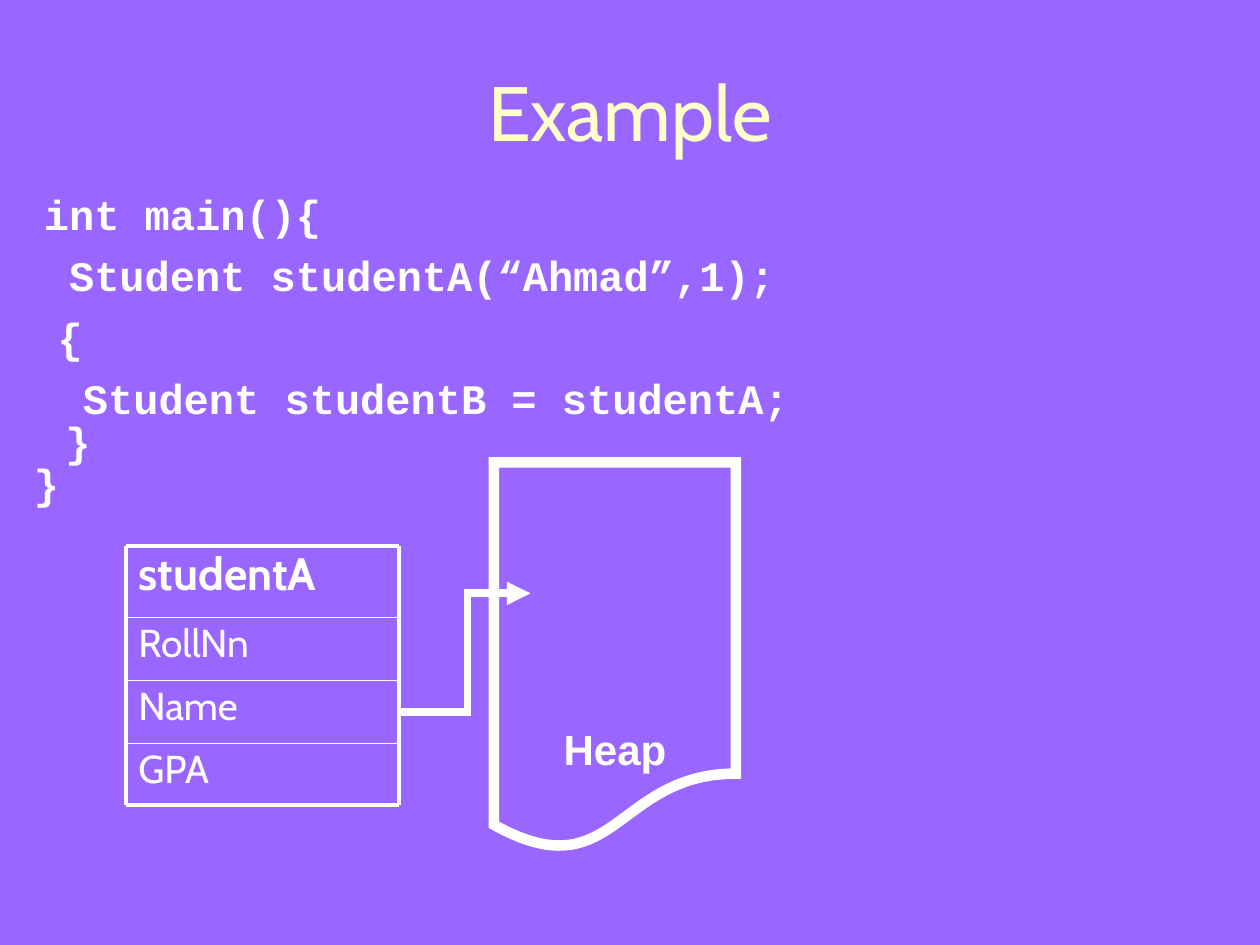
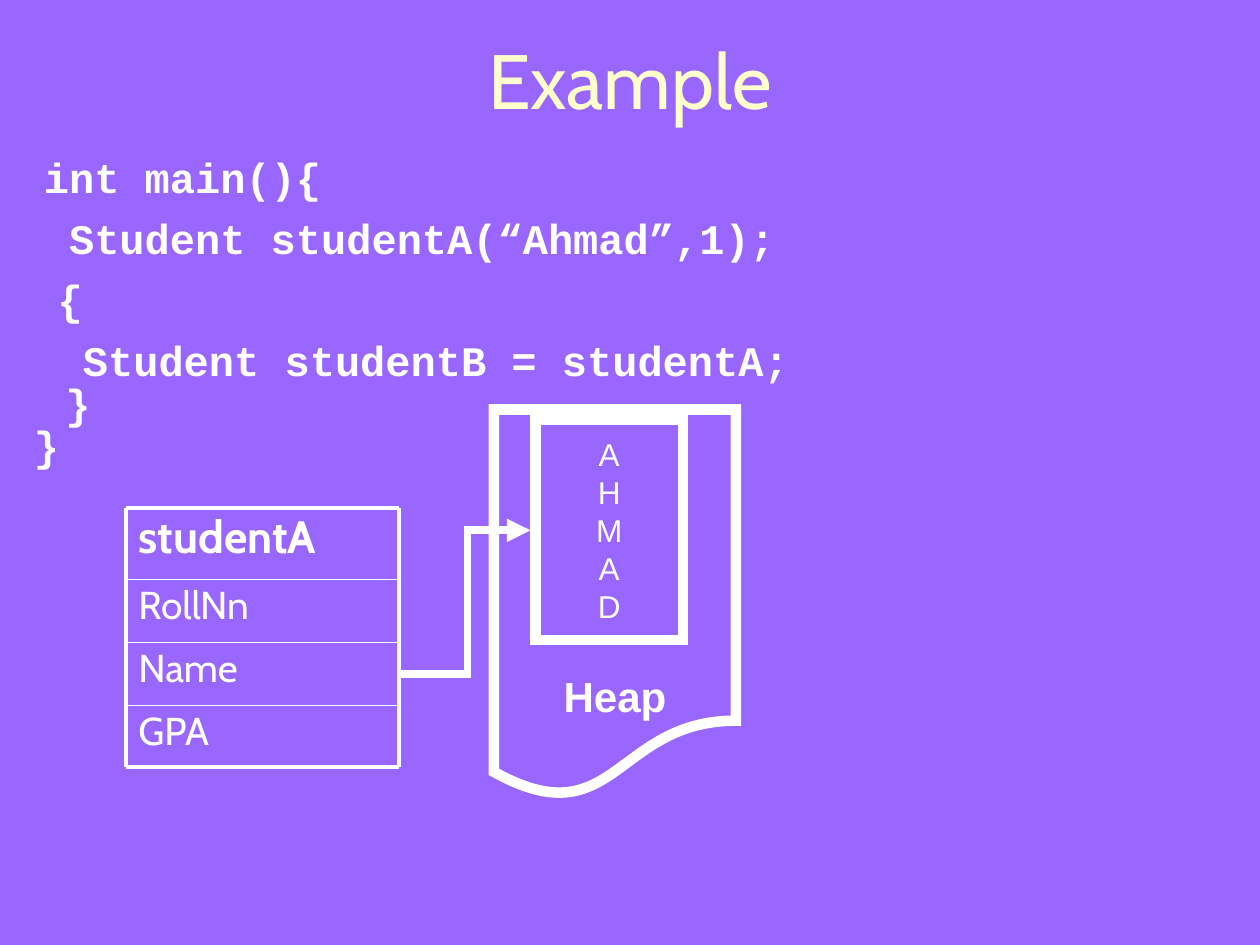
import itertools
from dataclasses import dataclass
from typing import Sequence

import lxml.etree
import pptx
import pptx.dml.color
import pptx.enum.shapes
import pptx.enum.text
import pptx.oxml.ns
import pptx.util

Inches = pptx.util.Inches
Pt = pptx.util.Pt
Align = pptx.enum.text.PP_ALIGN
Anchor = pptx.enum.text.MSO_ANCHOR
ShapeKind = pptx.enum.shapes.MSO_SHAPE
ConnectorKind = pptx.enum.shapes.MSO_CONNECTOR
qn = pptx.oxml.ns.qn

PURPLE = "9966FF"
CREAM = "FFFFCC"
WHITE = "FFFFFF"
OUTER_LINE = 2.25
INNER_LINE = 1


@dataclass(frozen=True)
class TextStyle:
    font: str
    size: float
    color: str = WHITE
    bold: bool = False
    align: Align = Align.LEFT
    space_before: float = 0
    line_spacing: float = 1.0


@dataclass(frozen=True)
class Box:
    left: float
    top: float
    width: float
    height: float


@dataclass(frozen=True)
class CodeBlock:
    """Lines of code in a box placed relative to the top of the code."""
    box: Box
    lines: Sequence[str]


@dataclass(frozen=True)
class Field:
    name: str
    height: float
    style: TextStyle


@dataclass(frozen=True)
class ExampleSlide:
    title_box: Box
    code_top: float
    heap_top: float
    arrow_tip: float
    heap_text: str = ""


TITLE = TextStyle("Cabin", 44, CREAM, align=Align.CENTER)
CODE = TextStyle("Courier New", 24, bold=True, space_before=6)
OBJECT_NAME = TextStyle("Cabin", 25.9, bold=True, line_spacing=0.9)
FIELD_NAME = TextStyle("Cabin", 22.2, line_spacing=0.9)
HEAP_LABEL = TextStyle("Arial", 24, bold=True, align=Align.CENTER)
HEAP_LETTER = TextStyle("Arial", 18, align=Align.CENTER)

CODE_BLOCKS = (
    CodeBlock(Box(0.25, 0, 6, 0.99), ("int main(){", " Student studentA(“Ahmad”,1);")),
    CodeBlock(Box(0.16, 0.97, 6.4, 0.99), (" {", "  Student studentB = studentA;")),
    CodeBlock(Box(0.42, 1.8, 0.4, 0.5), ("}",)),
    CodeBlock(Box(0.17, 2.13, 0.4, 0.5), ("}",)),
)
STUDENT_FIELDS = (
    Field("studentA", 0.57, OBJECT_NAME),
    Field("RollNn", 0.5, FIELD_NAME),
    Field("Name", 0.5, FIELD_NAME),
    Field("GPA", 0.49, FIELD_NAME),
)
STUDENT_LEFT, STUDENT_RIGHT = 1, 3.17
STUDENT_BELOW_CODE = 2.88
NAME_BELOW_CODE = 4.2
ARROW_TIP_LEFT = 4.21

SLIDES = (
    ExampleSlide(Box(0.33, 0.25, 9.34, 1.25), 1.45, 3.67, 4.71),
    ExampleSlide(Box(0.5, 0, 9, 1.25), 1.15, 3.25, 4.21, "AHMAD"),
)


def rgb(color: str) -> pptx.dml.color.RGBColor:
    return pptx.dml.color.RGBColor.from_string(color)


def lengths(box: Box) -> list:
    return [Inches(value) for value in (box.left, box.top, box.width, box.height)]


def write_lines(text_frame, lines: Sequence[str], style: TextStyle) -> None:
    for index, line in enumerate(lines):
        paragraph = text_frame.add_paragraph() if index else text_frame.paragraphs[0]
        paragraph.alignment = style.align
        paragraph.line_spacing = style.line_spacing
        if index:
            paragraph.space_before = Pt(style.space_before)
        run = paragraph.add_run()
        run.text = line
        run.font.name = style.font
        run.font.size = Pt(style.size)
        run.font.bold = style.bold
        run.font.color.rgb = rgb(style.color)


def add_text(slide, box: Box, lines: Sequence[str], style: TextStyle,
             anchor: Anchor = Anchor.TOP, wrap: bool = True):
    text_frame = slide.shapes.add_textbox(*lengths(box)).text_frame
    text_frame.word_wrap = wrap
    text_frame.vertical_anchor = anchor
    write_lines(text_frame, lines, style)
    return text_frame


def add_code(slide, block: CodeBlock, code_top: float) -> None:
    box = Box(block.box.left, code_top + block.box.top, block.box.width, block.box.height)
    add_text(slide, box, block.lines, CODE, wrap=False)


def set_line(shape, width: float) -> lxml.etree._Element:
    """Give the shape a white line with mitred corners and return its element."""
    shape.line.color.rgb = rgb(WHITE)
    shape.line.width = Pt(width)
    line = shape.line._get_or_add_ln()
    lxml.etree.SubElement(line, qn("a:miter"), lim="800000")
    return line


def add_outlined_shape(slide, kind: ShapeKind, box: Box, lines: Sequence[str],
                       style: TextStyle, anchor: Anchor):
    shape = slide.shapes.add_shape(kind, *lengths(box))
    shape.shadow.inherit = False
    shape.fill.background()
    set_line(shape, 6)
    shape.text_frame.word_wrap = False
    shape.text_frame.vertical_anchor = anchor
    write_lines(shape.text_frame, lines, style)
    return shape


def add_connector(slide, kind: ConnectorKind, start: tuple[float, float],
                  end: tuple[float, float], width: float):
    ends = [Inches(value) for value in (*start, *end)]
    connector = slide.shapes.add_connector(kind, *ends)
    set_line(connector, width)
    lxml.etree.SubElement(connector._element.spPr, qn("a:effectLst"))
    return connector


def add_student_object(slide, top: float) -> None:
    heights = [field.height for field in STUDENT_FIELDS]
    edges = list(itertools.accumulate(heights, initial=top))
    bottom = edges[-1]
    for field, field_top in zip(STUDENT_FIELDS, edges):
        box = Box(STUDENT_LEFT, field_top, STUDENT_RIGHT - STUDENT_LEFT, field.height)
        add_text(slide, box, [field.name], field.style)
    for edge in edges:
        add_connector(slide, ConnectorKind.STRAIGHT, (STUDENT_LEFT, edge),
                      (STUDENT_RIGHT, edge),
                      OUTER_LINE if edge in (top, bottom) else INNER_LINE)
    for side in (STUDENT_LEFT, STUDENT_RIGHT):
        add_connector(slide, ConnectorKind.STRAIGHT, (side, top), (side, bottom), OUTER_LINE)


def add_heap_arrow(slide, start: float, tip: float) -> None:
    """Lead from the Name field, at height start, into the heap, at height tip."""
    connector = add_connector(slide, ConnectorKind.ELBOW, (STUDENT_RIGHT, start),
                              (ARROW_TIP_LEFT, tip), 4.5)
    line = connector.line._get_or_add_ln()
    lxml.etree.SubElement(line, qn("a:tailEnd"), type="triangle")
    geometry = connector._element.spPr.find(qn("a:prstGeom"))
    lxml.etree.SubElement(geometry.get_or_add_avLst(), qn("a:gd"),
                          name="adj1", fmla="val 52000")


def build_slide(presentation, example: ExampleSlide) -> None:
    slide = presentation.slides.add_slide(presentation.slide_layouts[6])
    slide.background.fill.solid()
    slide.background.fill.fore_color.rgb = rgb(PURPLE)
    add_text(slide, example.title_box, ["Example"], TITLE, Anchor.MIDDLE)
    for block in CODE_BLOCKS:
        add_code(slide, block, example.code_top)
    heap = add_outlined_shape(slide, ShapeKind.FLOWCHART_DOCUMENT,
                              Box(3.92, example.heap_top, 1.92, 3.08),
                              ["Heap"], HEAP_LABEL, Anchor.BOTTOM)
    heap.text_frame.margin_bottom = 0
    add_student_object(slide, example.code_top + STUDENT_BELOW_CODE)
    add_heap_arrow(slide, example.code_top + NAME_BELOW_CODE, example.arrow_tip)
    if example.heap_text:
        add_outlined_shape(slide, ShapeKind.RECTANGLE,
                           Box(4.25, example.heap_top + 0.08, 1.17, 1.75),
                           example.heap_text, HEAP_LETTER, Anchor.MIDDLE)


def main() -> None:
    presentation = pptx.Presentation()
    presentation.slide_width = Inches(10)
    presentation.slide_height = Inches(7.5)
    for example in SLIDES:
        build_slide(presentation, example)
    presentation.save("out.pptx")


if __name__ == "__main__":
    main()
